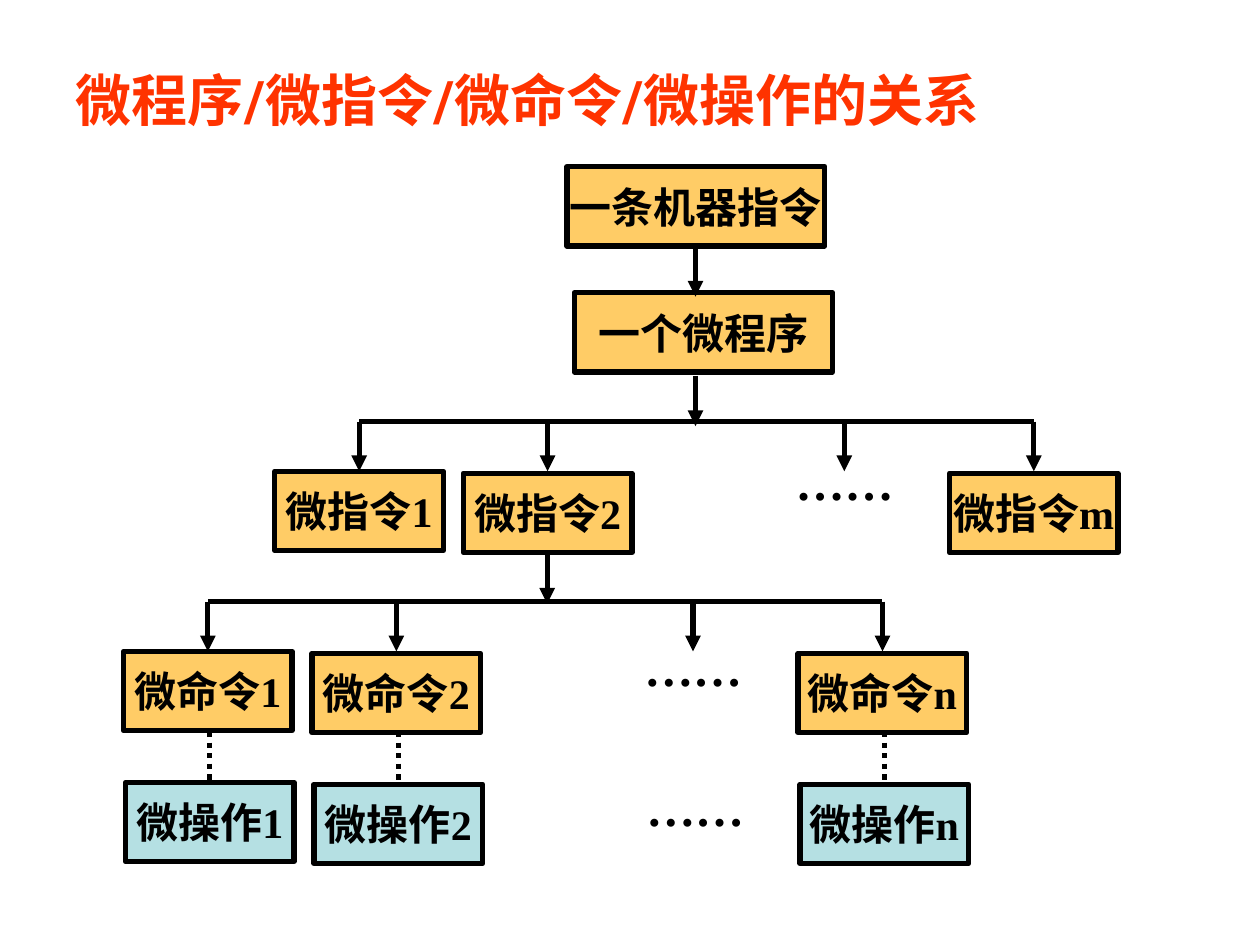
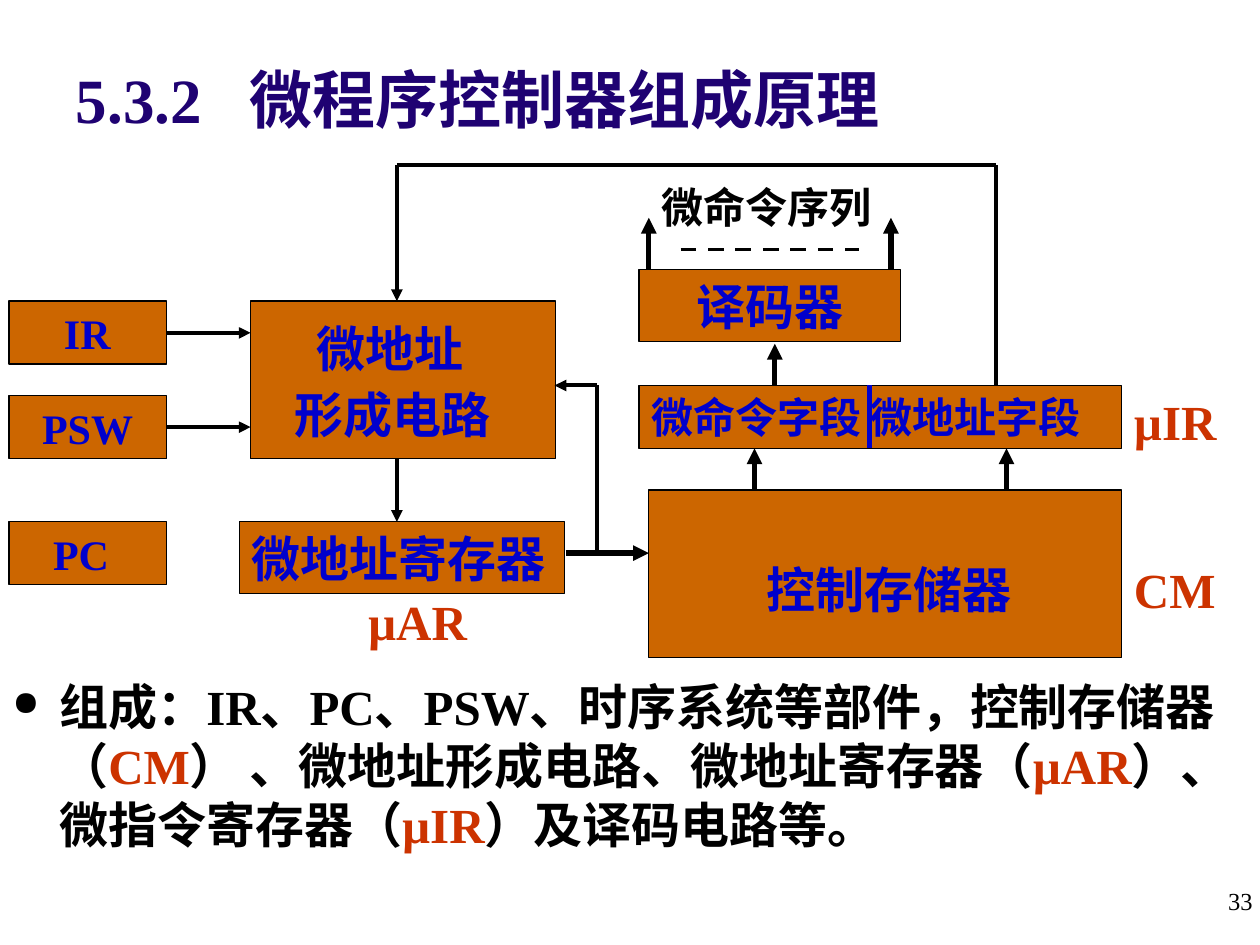
from dataclasses import dataclass

from lxml import etree
from pptx import Presentation
from pptx.dml.color import RGBColor
from pptx.enum.dml import MSO_LINE
from pptx.enum.shapes import MSO_CONNECTOR, MSO_SHAPE
from pptx.enum.text import MSO_ANCHOR, PP_ALIGN
from pptx.oxml.ns import qn
from pptx.util import Cm, Pt

RECT = MSO_SHAPE.RECTANGLE
STRAIGHT = MSO_CONNECTOR.STRAIGHT
LEFT, CENTER, RIGHT = PP_ALIGN.LEFT, PP_ALIGN.CENTER, PP_ALIGN.RIGHT
TOP, MIDDLE = MSO_ANCHOR.TOP, MSO_ANCHOR.MIDDLE
DOT, DASH = MSO_LINE.ROUND_DOT, MSO_LINE.DASH

SERIF, SANS = "Times New Roman", "Roboto"
BLACK, BLUE, NAVY = "000000", "0000CC", "1F0272"
RED, TITLE_RED = "CC3300", "FF3300"
AMBER, AQUA, ORANGE = "FFCC66", "B5E0E3", "CC6600"


@dataclass
class Box:
    """A text block in cm; with a fill it becomes an outlined rectangle."""
    x: float
    y: float
    w: float
    h: float
    text: str = ""
    size: float = 24
    color: str = BLACK
    fill: str = ""
    border: float = 0.75
    indent: float = 0
    align: PP_ALIGN = LEFT
    anchor: MSO_ANCHOR = TOP
    wrap: bool = True
    font: str = SERIF
    bold: bool = True


@dataclass
class Line:
    x1: float
    y1: float
    x2: float
    y2: float
    width: float = 3
    arrow: bool = True
    color: str = BLACK
    dash: MSO_LINE | None = None


@dataclass
class Column:
    offset: float
    drop: float


@dataclass
class Tier:
    """A row of numbered boxes; x is the centre of the first one."""
    label: str
    last: str
    x: float
    y: float
    dots_y: float
    fill: str = AMBER


def rgb(color: str) -> RGBColor:
    return RGBColor.from_string(color)


def style_font(font, box: Box) -> None:
    font.name, font.size, font.bold = box.font, Pt(box.size), box.bold
    font.color.rgb = rgb(box.color)


def add_box(s, box: Box):
    place = Cm(box.x), Cm(box.y), Cm(box.w), Cm(box.h)
    if box.fill:
        sp = s.shapes.add_shape(RECT, *place)
        sp.shadow.inherit = False
        sp.fill.solid()
        sp.fill.fore_color.rgb = rgb(box.fill)
        sp.line.color.rgb = rgb(BLACK)
        sp.line.width = Pt(box.border)
    else:
        sp = s.shapes.add_textbox(*place)
    tf = sp.text_frame
    tf.word_wrap = box.wrap
    tf.vertical_anchor = box.anchor
    tf.text = box.text
    for p in tf.paragraphs:
        p.alignment = box.align
        if box.indent:
            p._p.get_or_add_pPr().set("marL", str(Cm(box.indent)))
        style_font(p.font, box)
    return tf


def add_line(s, line: Line) -> None:
    c = s.shapes.add_connector(STRAIGHT, Cm(line.x1), Cm(line.y1), Cm(line.x2), Cm(line.y2))
    c.line.color.rgb = rgb(line.color)
    c.line.width = Pt(line.width)
    if line.dash:
        c.line.dash_style = line.dash
    if line.arrow:
        etree.SubElement(c.line._get_or_add_ln(), qn("a:tailEnd"), type="triangle")
    etree.SubElement(c._element.spPr, qn("a:effectLst"))


def add_title(s, text: str, size: float, color: str, font: str, tab: float = 0) -> None:
    box = Box(1.28, 0.74, 23.2, 2.5, text, size, color, anchor=MIDDLE, font=font)
    p = add_box(s, box).paragraphs[0]
    if tab:
        pPr = p._p.get_or_add_pPr()
        tabs = etree.Element(qn("a:tabLst"))
        etree.SubElement(tabs, qn("a:tab"), pos=str(Cm(tab)), algn="l")
        pPr.insert(0, tabs)


# Relationship tree
NODE_W, NODE_H = 3.4, 1.6
FIRST = Column(0, 0)
SECOND = Column(3.8, 0.04)
LAST = Column(13.6, 0.04)
DOTS_OFFSET, DOTS_ARROW = 8.55, 9.78
TIERS = [
    Tier("微指令", "m", 7.24, 9.5, 8.97),
    Tier("微命令", "n", 4.19, 13.13, 12.73),
    Tier("微操作", "n", 4.23, 15.77, 15.54, AQUA),
]


def add_node(s, x: float, y: float, w: float, text: str, fill: str = AMBER) -> None:
    add_box(s, Box(x, y, w, NODE_H, text, fill=fill, border=3,
                   align=CENTER, anchor=MIDDLE, wrap=False))


def add_tier(s, tier: Tier) -> None:
    for column, mark in ((FIRST, "1"), (SECOND, "2"), (LAST, tier.last)):
        add_node(s, tier.x + column.offset - NODE_W / 2, tier.y + column.drop,
                 NODE_W, tier.label + mark, tier.fill)
    add_box(s, Box(tier.x + DOTS_OFFSET, tier.dots_y, 2.8, 1.45, "……", 28))


def add_branches(s, tier: Tier) -> None:
    """Draw the bus above a tier and the arrows that drop from it."""
    bus = tier.y - 1
    add_line(s, Line(tier.x, bus, tier.x + LAST.offset, bus, arrow=False))
    for offset in (FIRST.offset, SECOND.offset, DOTS_ARROW, LAST.offset):
        add_line(s, Line(tier.x + offset, bus, tier.x + offset, tier.y))


def build_relationship(prs) -> None:
    s = prs.slides.add_slide(prs.slide_layouts[6])
    add_title(s, "微程序/微指令/微命令/微操作的关系", 32, TITLE_RED, SANS)
    add_node(s, 11.43, 3.36, 5.2, "一条机器指令")
    add_node(s, 11.58, 5.9, 5.2, "一个微程序")
    for tier in TIERS:
        add_tier(s, tier)
    for tier in TIERS[:2]:
        add_branches(s, tier)
    for x, y in ((14.02, 4.96), (14.02, 7.57), (11.03, 11.15)):
        add_line(s, Line(x, y, x, y + 1.02))
    for column in (FIRST, SECOND, LAST):
        x = TIERS[2].x + column.offset
        add_line(s, Line(x, 14.76, x, 15.75, arrow=False, dash=DOT))


# Controller structure
BLOCKS = [
    Box(5.05, 6.07, 6.15, 3.18),
    Box(0.18, 6.07, 3.18, 1.27, "IR", indent=0.86),
    Box(0.18, 7.98, 3.18, 1.27, "PSW", indent=0.42),
    Box(0.18, 10.52, 3.18, 1.27, "PC", indent=0.64),
    Box(4.83, 10.52, 6.55, 1.45, "微地址寄存器", 28),
    Box(13.08, 9.88, 9.53, 3.38),
    Box(12.88, 5.44, 5.28, 1.45, "译码器", 28, indent=0.92),
    Box(12.88, 7.77, 9.73, 1.27, "微命令字段 微地址字段"),
]
LABELS = [
    Box(15.21, 11.15, 5.92, 1.45, "控制存储器", 28, BLUE),
    Box(6.96, 11.79, 3.38, 1.45, "µAR", 28, RED, indent=0.21),
    Box(22.61, 11.15, 2.74, 1.45, "CM", 28, RED),
    Box(22.61, 7.77, 2.74, 1.45, "µIR", 28, RED),
    Box(13.08, 3.53, 5.28, 1.27, "微命令序列"),
    Box(19.58, 17.73, 5.92, 1.32, "33", 14, align=RIGHT, bold=False),
]
THIN = 2.25
WIRES = [
    Line(17.53, 7.77, 17.53, 9.04, arrow=False, color=BLUE),
    Line(15.21, 9.88, 15.21, 9.04),
    Line(20.29, 9.88, 20.29, 9.04),
    Line(15.62, 7.77, 15.62, 6.93),
    Line(13.08, 5.44, 13.08, 4.39),
    Line(17.96, 5.44, 17.96, 4.39),
    Line(13.72, 5.03, 17.32, 5.03, THIN, arrow=False, dash=DASH),
    Line(11.4, 11.15, 13.08, 11.15),
    Line(12.04, 11.15, 12.04, 7.77, THIN, arrow=False),
    Line(12.04, 7.77, 11.18, 7.77, THIN),
    Line(8, 9.25, 8, 10.52, THIN),
    Line(3.35, 6.71, 5.05, 6.71, THIN),
    Line(3.35, 8.61, 5.05, 8.61, THIN),
    Line(8, 3.33, 20.07, 3.33, THIN, arrow=False),
    Line(20.07, 3.33, 20.07, 7.77, THIN, arrow=False),
    Line(8, 3.33, 8, 6.07, THIN),
]
SUMMARY = [
    ("组成：IR、PC、PSW、时序系统等部件，控制存储器（", BLACK), ("CM", RED),
    ("） 、微地址形成电路、微地址寄存器（", BLACK), ("µAR", RED),
    ("）、微指令寄存器（", BLACK), ("µIR", RED), ("）及译码电路等。", BLACK),
]


def add_summary(s) -> None:
    box = Box(0, 13.51, 24.89, 3.99, size=28)
    p = add_box(s, box).paragraphs[0]
    pPr = p._p.get_or_add_pPr()
    pPr.set("marL", str(Cm(0.95)))
    pPr.set("indent", str(Cm(-0.95)))
    color = etree.Element(qn("a:buClr"))
    etree.SubElement(color, qn("a:srgbClr"), val=BLACK)
    size = etree.Element(qn("a:buSzPct"), val="70000")
    bullet = etree.Element(qn("a:buChar"), char="●")
    for i, element in enumerate((color, size, bullet)):
        pPr.insert(i, element)
    for text, run_color in SUMMARY:
        r = p.add_run()
        r.text = text
        r.font.color.rgb = rgb(run_color)


def build_controller(prs) -> None:
    s = prs.slides.add_slide(prs.slide_layouts[6])
    add_title(s, "5.3.2\t微程序控制器组成原理", 36, NAVY, SERIF, tab=3.5)
    for block in BLOCKS:
        block.fill, block.color = ORANGE, BLUE
        add_box(s, block)
    for label in LABELS:
        add_box(s, label)
    circuit = add_box(s, Box(5.69, 6.71, 5.72, 2.31, "微地址\n形成电路", 28, BLUE))
    first, second = circuit.paragraphs
    first.line_spacing = second.line_spacing = 0.6
    first._p.get_or_add_pPr().set("marL", str(Cm(0.44)))
    second.space_before = Pt(17.5)
    for wire in WIRES:
        add_line(s, wire)
    add_summary(s)


def main() -> None:
    prs = Presentation()
    prs.slide_width, prs.slide_height = Cm(25.4), Cm(19.05)
    build_relationship(prs)
    build_controller(prs)
    prs.save("out.pptx")


if __name__ == "__main__":
    main()
